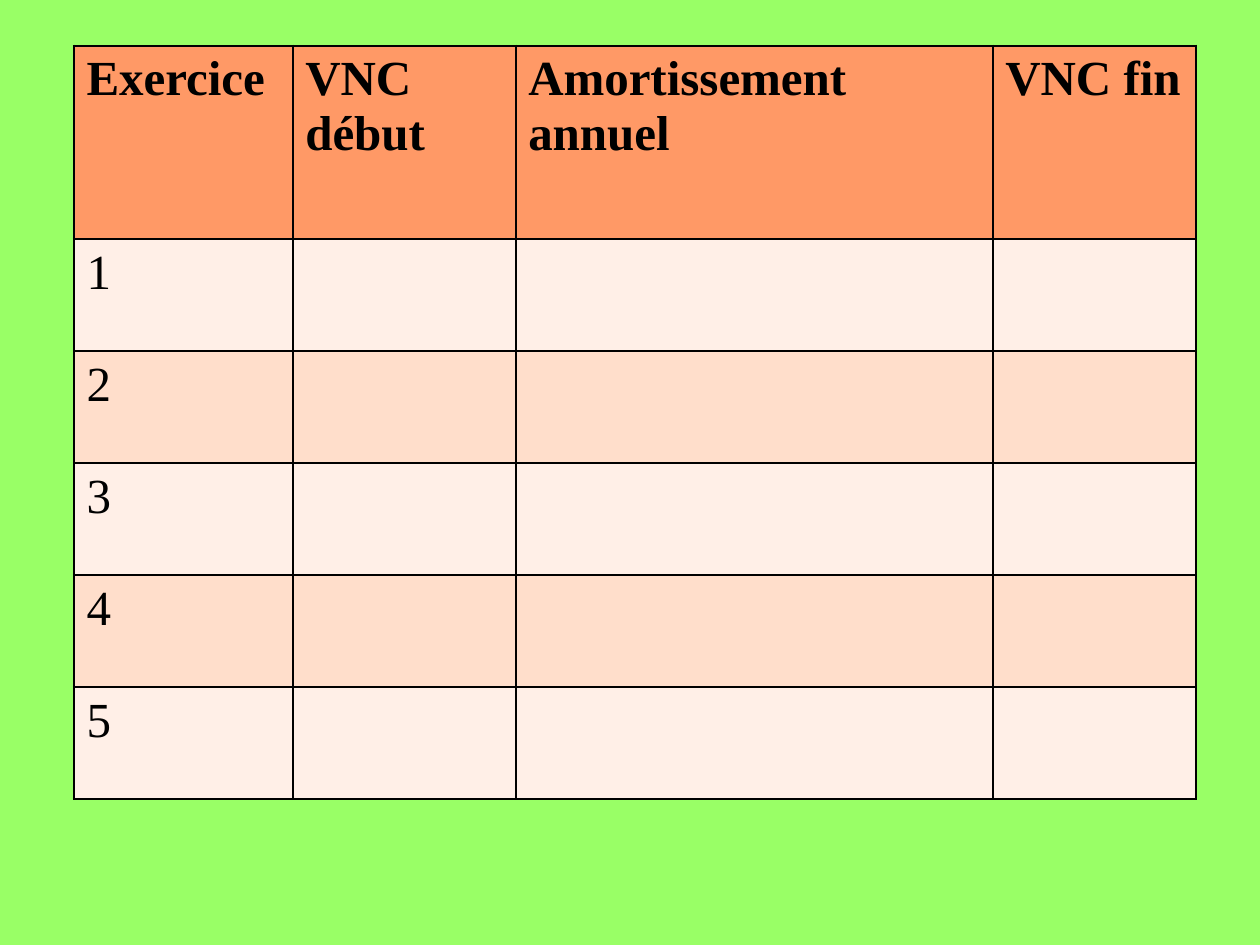
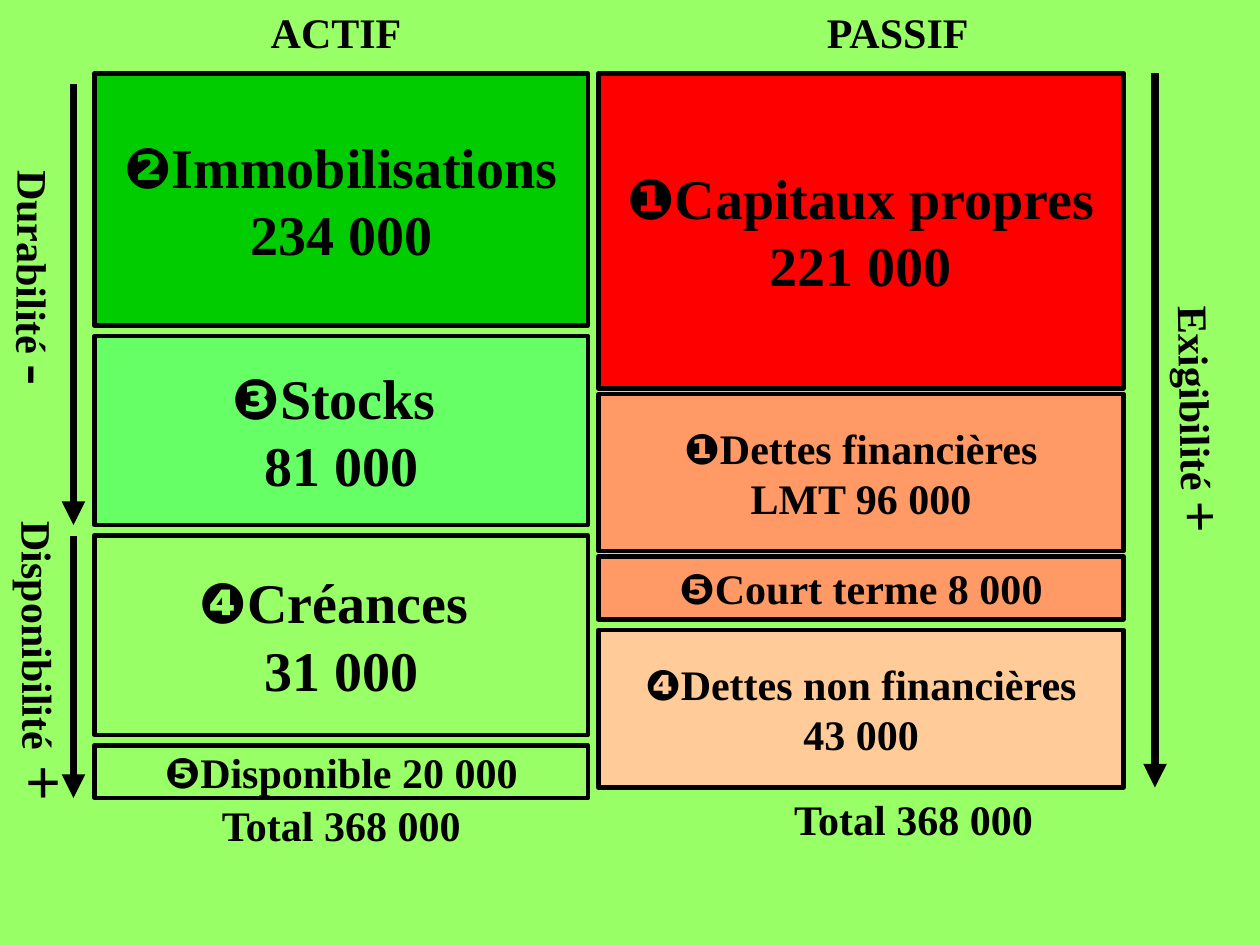
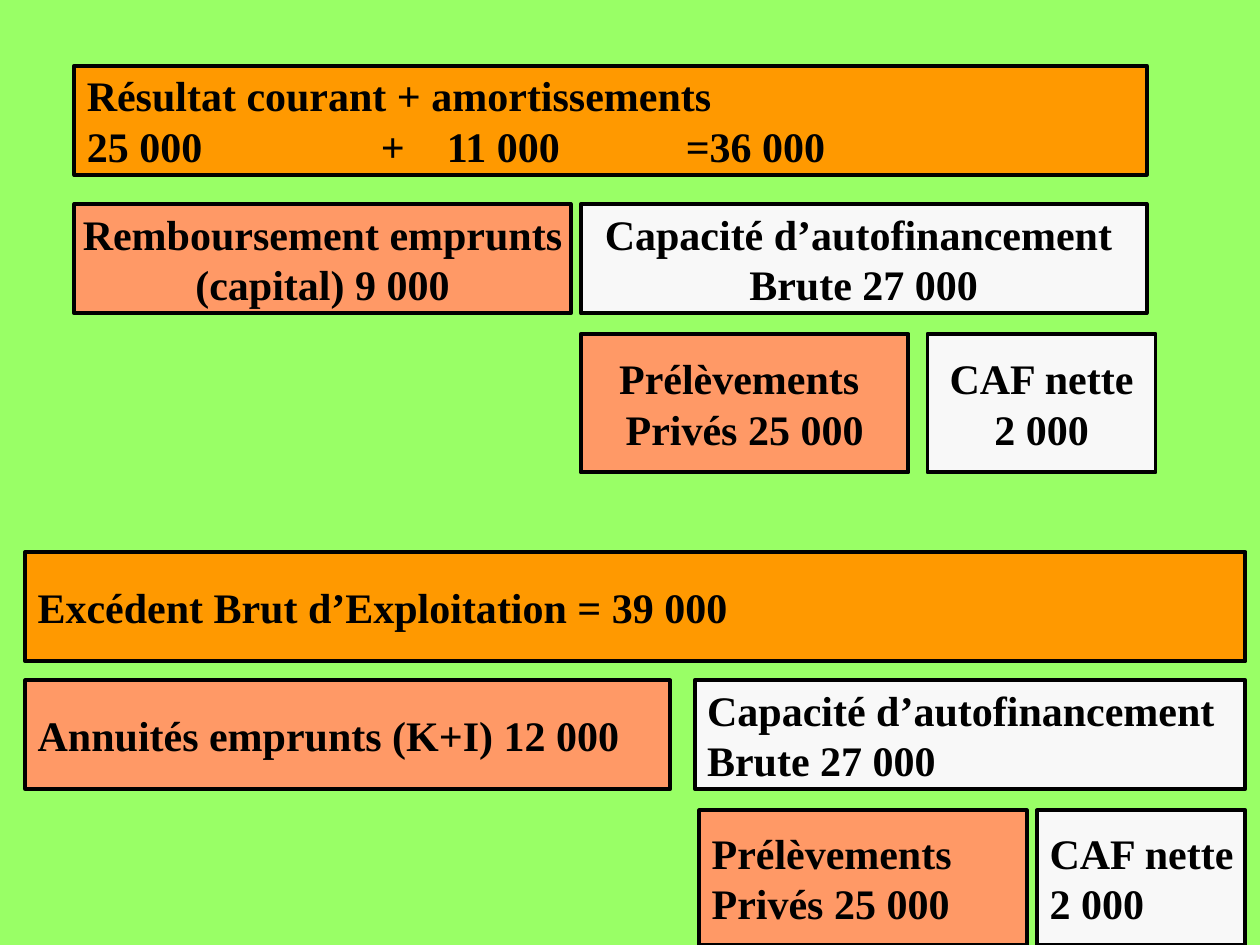
from lxml import etree
from pptx import Presentation
from pptx.dml.color import RGBColor
from pptx.enum.shapes import MSO_CONNECTOR, MSO_SHAPE
from pptx.enum.text import MSO_ANCHOR, PP_ALIGN
from pptx.oxml.ns import qn
from pptx.util import Pt

RECT = MSO_SHAPE.RECTANGLE
STRAIGHT = MSO_CONNECTOR.STRAIGHT
MIDDLE = MSO_ANCHOR.MIDDLE
LEFT, CENTER = PP_ALIGN.LEFT, PP_ALIGN.CENTER

BLACK = RGBColor(0x00, 0x00, 0x00)
LIME = RGBColor(0x99, 0xFF, 0x66)
GREEN = RGBColor(0x00, 0xCC, 0x00)
MINT = RGBColor(0x66, 0xFF, 0x66)
RED = RGBColor(0xFF, 0x00, 0x00)
SALMON = RGBColor(0xFF, 0x99, 0x66)
PEACH = RGBColor(0xFF, 0xCC, 0x99)
ORANGE = RGBColor(0xFF, 0x99, 0x00)
WHITE = RGBColor(0xF8, 0xF8, 0xF8)
BANDS = (RGBColor(0xFF, 0xEF, 0xE7), RGBColor(0xFF, 0xDE, 0xCB))

FONT, MARK_FONT = "Times New Roman", "Arial"


def write(tf, lines, size=24, bold=True, align=CENTER, tabs=()):
    """Fill a text frame; a line is a string or a list of (text, format) runs."""
    for i, line in enumerate(lines):
        p = tf.add_paragraph() if i else tf.paragraphs[0]
        p.alignment = align
        if tabs and "\t" in line:
            tab_list = etree.SubElement(p._p.get_or_add_pPr(), qn("a:tabLst"))
            for pos in tabs:
                etree.SubElement(tab_list, qn("a:tab"), pos=str(Pt(pos)), algn="l")
        for text, fmt in [(line, {})] if isinstance(line, str) else line:
            r = p.add_run()
            r.text = text
            r.font.name = fmt.get("font", FONT)
            r.font.size = Pt(fmt.get("size", size))
            r.font.bold = bold
            r.font.color.rgb = BLACK


def marked(mark, label):
    """Return the runs of a label led by a circled number."""
    return [(mark, {"font": MARK_FONT}), (label, {})]


class Deck:
    """Hold the presentation, its style and the current slide."""

    def __init__(self):
        self.prs = Presentation()
        self.prs.slide_width, self.prs.slide_height = Pt(720), Pt(540)

    def slide(self):
        """Start a blank slide on the shared background."""
        self.s = self.prs.slides.add_slide(self.prs.slide_layouts[6])
        fill = self.s.background.fill
        fill.solid()
        fill.fore_color.rgb = LIME

    def label(self, at, lines, rotation=0, **fmt):
        """Add an unwrapped text box."""
        sp = self.s.shapes.add_textbox(*map(Pt, at))
        sp.rotation = rotation
        self.frame(sp, lines, **fmt)

    def box(self, at, fill, lines, line=2.5, **fmt):
        """Add an outlined rectangle with text."""
        sp = self.s.shapes.add_shape(RECT, *map(Pt, at))
        sp.shadow.inherit = False
        sp.fill.solid()
        sp.fill.fore_color.rgb = fill
        sp.line.color.rgb = BLACK
        sp.line.width = Pt(line)
        self.frame(sp, lines, **fmt)

    def frame(self, sp, lines, **fmt):
        """Centre unwrapped text vertically in a shape."""
        tf = sp.text_frame
        tf.word_wrap = False
        tf.vertical_anchor = MIDDLE
        write(tf, lines, **fmt)

    def stack(self, left, top, width, blocks):
        """Pile up blocks of (height, gap below, fill, size, lines)."""
        for height, gap, fill, size, lines in blocks:
            self.box((left, top, width, height), fill, lines, size=size)
            top += height + gap

    def row(self, top, height, boxes, **fmt):
        """Set boxes of (left, width, fill, lines) side by side."""
        for left, width, fill, lines in boxes:
            self.box((left, top, width, height), fill, lines, line=2.25, **fmt)

    def arrow(self, x, top, bottom):
        """Add a downward arrow."""
        c = self.s.shapes.add_connector(STRAIGHT, Pt(x), Pt(top), Pt(x), Pt(bottom))
        c.line.color.rgb = BLACK
        c.line.width = Pt(4.5)
        etree.SubElement(c.line._get_or_add_ln(), qn("a:tailEnd"), type="triangle")
        etree.SubElement(c._element.spPr, qn("a:effectLst"))

    def table(self, left, top, widths, heights, rows):
        """Add a ruled table with a header row and banded body."""
        size = map(Pt, (left, top, sum(widths), sum(heights)))
        table = self.s.shapes.add_table(len(rows), len(widths), *size).table
        for column, width in zip(table.columns, widths):
            column.width = Pt(width)
        for i, (texts, height) in enumerate(zip(rows, heights)):
            table.rows[i].height = Pt(height)
            for j, text in enumerate(texts):
                cell = table.cell(i, j)
                self.borders(cell)
                cell.fill.solid()
                cell.fill.fore_color.rgb = BANDS[(i - 1) % 2] if i else SALMON
                if text:
                    write(cell.text_frame, [text], size=28, bold=i == 0, align=LEFT)

    def borders(self, cell):
        """Rule all four sides of a cell."""
        tc_pr = cell._tc.get_or_add_tcPr()
        for side in "LRTB":
            ln = etree.SubElement(tc_pr, qn(f"a:ln{side}"), w=str(Pt(1.5)))
            fill = etree.SubElement(ln, qn("a:solidFill"))
            etree.SubElement(fill, qn("a:srgbClr"), val=str(BLACK))


def depreciation(deck):
    """Build the blank depreciation table."""
    deck.slide()
    header = ["Exercice", "VNC début", "Amortissement annuel", "VNC fin"]
    years = [[str(year), "", "", ""] for year in range(1, 6)]
    deck.table(42.3, 26.2, (125, 127.4, 272.6, 116), [110.6] + [64] * 5,
               [header] + years)


def balance_sheet(deck):
    """Build the balance sheet with its two stacks."""
    deck.slide()
    deck.label((72, 0, 240, 36), ["ACTIF"])
    deck.label((438, 0, 150, 36), ["PASSIF"])
    deck.label((54, 456, 282, 30), ["Total 368 000"])
    deck.label((372, 456, 300, 24), ["Total 368 000"])
    deck.stack(54, 42, 282, [
        (144, 6, GREEN, 32, [marked("❷", "Immobilisations"), "234 000"]),
        (108, 6, MINT, 32, [marked("❸", "Stocks "), "81 000"]),
        (114, 6, LIME, 32, [marked("❹", "Créances "), "31 000"]),
        (30, 0, LIME, 24, [marked("❺", "Disponible 20 000")]),
    ])
    deck.stack(342, 42, 300, [
        (180, 3, RED, 32, [marked("❶", "Capitaux propres"), "221 000"]),
        (90, 3, SALMON, 24, [marked("❶", "Dettes financières"), "LMT 96 000"]),
        (36, 6, SALMON, 24, [marked("❺", "Court terme 8 000")]),
        (90, 0, PEACH, 24, [marked("❹", "Dettes non financières"), "43 000"]),
    ])
    for x, top, bottom in ((42, 48, 300), (42, 306, 456), (660, 42, 450)):
        deck.arrow(x, top, bottom)
    for at, rotation, word, sign, size in (
        ((-87, 147, 222, 24), 90.5, "Durabilité ", "-", 36),
        ((-81, 363, 216, 30), 89.7, "Disponibilité", " +", 36),
        ((525, 225, 324, 30), 89, "Exigibilité ", "+", 32),
    ):
        deck.label(at, [[(word, {}), (sign, {"size": size})]], rotation)


def self_financing(deck):
    """Build the two ways to reach net self-financing."""
    deck.slide()
    deck.row(37.5, 62.5, [
        (42.5, 612.7, ORANGE, ["Résultat courant + amortissements",
                               "25 000\t+\t11 000\t=36 000"]),
    ], align=LEFT, tabs=(168, 205.7, 342.3))
    deck.row(116.6, 62.5, [
        (42.5, 283.7, SALMON, ["Remboursement emprunts", "(capital) 9 000"]),
        (331.9, 323.3, WHITE, ["Capacité d’autofinancement ", "Brute 27 000"]),
    ])
    deck.row(190.8, 79.2, [
        (331.9, 187.2, SALMON, ["Prélèvements ", "Privés 25 000"]),
        (530, 130.3, WHITE, ["CAF nette", "2 000"]),
    ])
    deck.row(315.4, 62.5, [
        (14.4, 697.3, ORANGE, ["Excédent Brut d’Exploitation = 39 000"]),
    ], align=LEFT)
    deck.row(388.8, 62, [
        (14.4, 368.6, SALMON, ["Annuités emprunts (K+I) 12 000"]),
        (397, 314.7, WHITE, ["Capacité d’autofinancement", "Brute 27 000"]),
    ], align=LEFT)
    deck.row(463, 77, [
        (399.6, 187.2, SALMON, ["Prélèvements", "Privés 25 000"]),
        (592.7, 119, WHITE, ["CAF nette", "2 000"]),
    ], align=LEFT)


def main():
    """Build the deck and save it."""
    deck = Deck()
    depreciation(deck)
    balance_sheet(deck)
    self_financing(deck)
    deck.prs.save("out.pptx")


if __name__ == "__main__":
    main()
